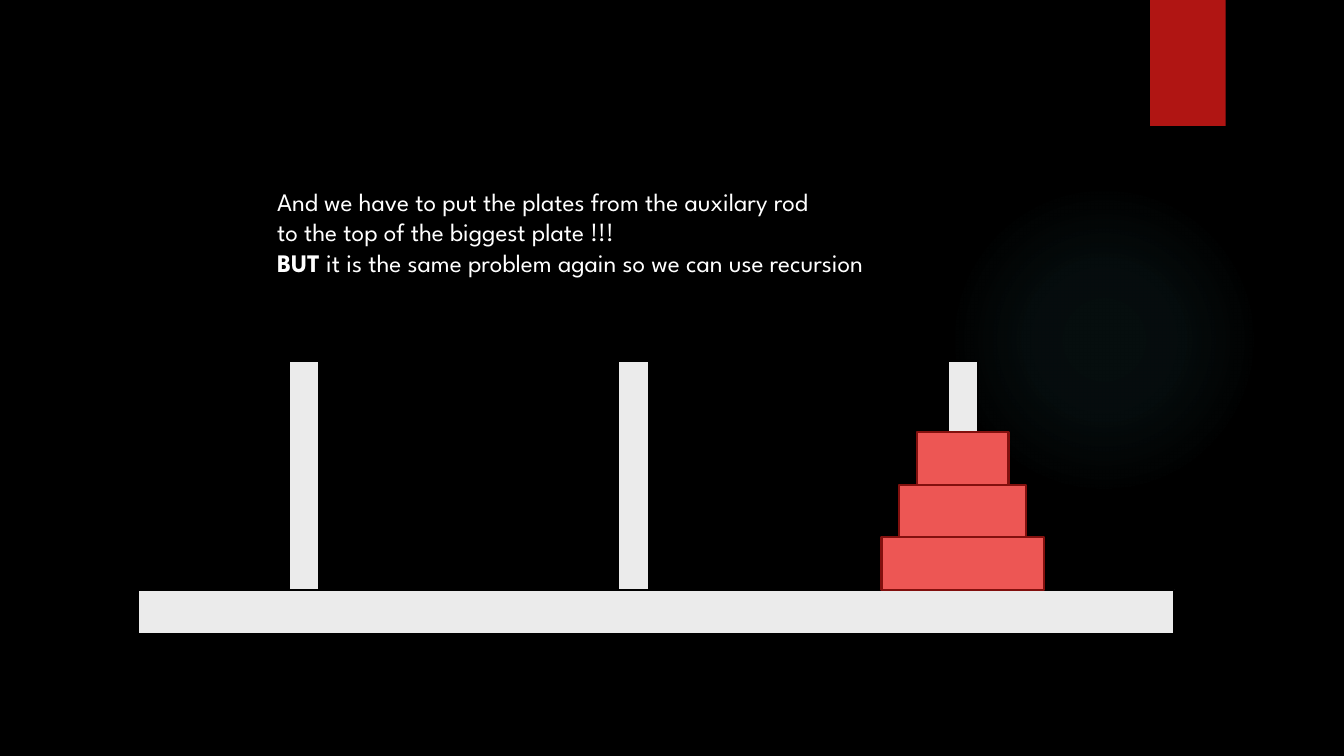
"""Build the Tower of Hanoi slide with three plates on the last rod."""
from dataclasses import dataclass

import lxml.etree
import pptx
import pptx.dml.color
import pptx.enum.shapes
import pptx.enum.text
import pptx.oxml
import pptx.oxml.ns
import pptx.util

SHAPE = pptx.enum.shapes.MSO_SHAPE
CELL = 0.25
COLS, ROWS = 53.33, 30


@dataclass(frozen=True)
class Theme:
    """Colours, font and sizes of the slide."""
    black: str = "000000"
    white: str = "FFFFFF"
    wood: str = "EBEBEB"
    plate: str = "ED5654"
    plate_edge: str = "82100E"
    tab: str = "B01513"
    glow: str = "50B9C1"
    font: str = "League Spartan"
    body: float = 18
    edge: float = 1.5


@dataclass(frozen=True)
class Box:
    """A rectangle in grid cells."""
    left: float
    top: float
    width: float
    height: float

    def emu(self) -> tuple:
        """Return the four lengths in slide units."""
        return tuple(map(cells, (self.left, self.top, self.width, self.height)))


THEME = Theme()
GLOW = Box(37.64, 7.32, 12.32, 12.32)
GLOW_STOPS = ((0, 7), (36, 6), (69, 0))
TAB = Box(45.64, 0, 3, 5)
BASE = Box(5.48, 23.4, 41.12, 1.76)
MESSAGE = Box(10.6, 7.2, 28.6, 4.04)
ROD_CENTRES = [12.08 + 13.06 * i for i in range(3)]
ROD_WIDTH, ROD_HEIGHT = 1.2, 9.08
PLATE_WIDTHS = [6.44 - 1.4 * i for i in range(3)]
PLATE_HEIGHT = 2.08
LINES = (
    (("And we have to put the plates from the auxilary rod", False),),
    (("to the top of the biggest plate !!!", False),),
    (("BUT", True), (" it is the same problem again so we can use recursion", False)),
)


def cells(n: float) -> int:
    """Convert grid cells to slide units."""
    return pptx.util.Inches(n * CELL)


def rgb(code: str) -> pptx.dml.color.RGBColor:
    """Turn a hex code into a colour."""
    return pptx.dml.color.RGBColor.from_string(code)


def add_shape(slide, box: Box, fill: str, line: str = "", kind=SHAPE.RECTANGLE):
    """Draw a flat filled shape, outlined if a line colour is given."""
    sp = slide.shapes.add_shape(kind, *box.emu())
    sp.shadow.inherit = False
    sp.fill.solid()
    sp.fill.fore_color.rgb = rgb(fill)
    if line:
        sp.line.color.rgb = rgb(line)
        sp.line.width = pptx.util.Pt(THEME.edge)
    else:
        sp.line.fill.background()
    return sp


def add_glow(slide) -> None:
    """Draw the faint circular glow."""
    sp = add_shape(slide, GLOW, THEME.glow, kind=SHAPE.OVAL)
    stops = "".join(
        f'<a:gs pos="{pos * 1000}"><a:srgbClr val="{THEME.glow}">'
        f'<a:alpha val="{alpha * 1000}"/></a:srgbClr></a:gs>'
        for pos, alpha in GLOW_STOPS)
    grad = pptx.oxml.parse_xml(
        f'<a:gradFill {pptx.oxml.ns.nsdecls("a")}><a:gsLst>{stops}</a:gsLst>'
        '<a:path path="circle"><a:fillToRect l="50000" t="50000" r="50000" b="50000"/>'
        '</a:path></a:gradFill>')
    solid = sp._element.spPr.find(pptx.oxml.ns.qn("a:solidFill"))
    solid.getparent().replace(solid, grad)


def add_run(p, text: str, *, size: float = THEME.body, color: str = THEME.white,
            bold: bool = False) -> None:
    """Append a formatted run to a paragraph."""
    r = p.add_run()
    r.text = text
    r.font.name = THEME.font
    r.font.size = pptx.util.Pt(size)
    r.font.color.rgb = rgb(color)
    r.font.bold = bold


def add_message(slide) -> None:
    """Write the explanation above the rods."""
    tf = slide.shapes.add_textbox(*MESSAGE.emu()).text_frame
    tf.word_wrap = False
    tf.auto_size = pptx.enum.text.MSO_AUTO_SIZE.SHAPE_TO_FIT_TEXT
    for i, line in enumerate(LINES):
        p = tf.add_paragraph() if i else tf.paragraphs[0]
        for text, bold in line:
            add_run(p, text, bold=bold)


def add_tower(slide) -> None:
    """Draw the base, the rods and the stacked plates."""
    add_shape(slide, BASE, THEME.wood, THEME.black)
    for centre in ROD_CENTRES:
        rod = Box(centre - ROD_WIDTH / 2, BASE.top - ROD_HEIGHT, ROD_WIDTH, ROD_HEIGHT)
        add_shape(slide, rod, THEME.wood, THEME.black)
    for level, width in enumerate(PLATE_WIDTHS, start=1):
        plate = Box(ROD_CENTRES[-1] - width / 2, BASE.top - level * PLATE_HEIGHT,
                    width, PLATE_HEIGHT)
        add_shape(slide, plate, THEME.plate, THEME.plate_edge)


def main() -> None:
    """Build and save the slide."""
    prs = pptx.Presentation()
    prs.slide_width, prs.slide_height = cells(COLS), cells(ROWS)
    s = prs.slides.add_slide(prs.slide_layouts[6])
    s.background.fill.solid()
    s.background.fill.fore_color.rgb = rgb(THEME.black)
    add_glow(s)
    add_shape(s, TAB, THEME.tab)
    add_tower(s)
    add_message(s)
    prs.save("out.pptx")


if __name__ == "__main__":
    main()
